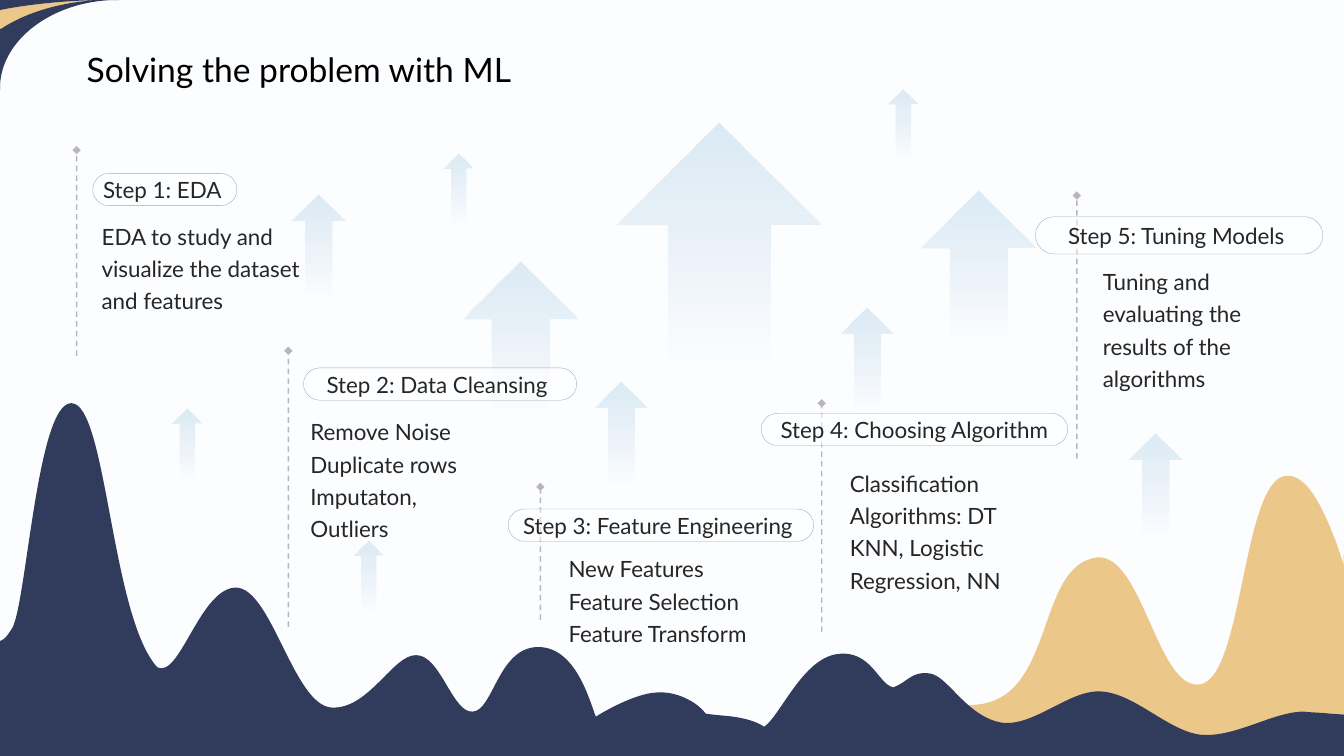
from lxml.etree import SubElement
from pptx import Presentation
from pptx.dml.color import RGBColor
from pptx.enum.dml import MSO_LINE
from pptx.enum.shapes import MSO_CONNECTOR, MSO_SHAPE
from pptx.enum.text import MSO_ANCHOR, MSO_AUTO_SIZE, PP_ALIGN
from pptx.oxml.ns import qn
from pptx.util import Inches, Pt

FONT = "Lato"
NAVY = RGBColor(0x31, 0x3C, 0x5D)
GOLD = RGBColor(0xEC, 0xC7, 0x8A)
WHITE = RGBColor(0xFF, 0xFF, 0xFF)
BLACK = RGBColor(0x00, 0x00, 0x00)
TEXT = RGBColor(0x26, 0x26, 0x26)
PAPER = RGBColor(0xFC, 0xFD, 0xFF)
PILL_LINE = RGBColor(0xA6, 0xA6, 0xA6)
MARKER = RGBColor(0x76, 0x71, 0x71)
ARROW_TIP = RGBColor(0x15, 0x7E, 0xB6)
ARROW_END = RGBColor(0x05, 0x4F, 0x98)

# Outlines: a start point, then line ends (x, y) or cubic curves (two controls and an end)
TOP_GOLD = [
    (0, 0.29), (0, 0.1), (0.05, 0.09), (0.32, 0.04, 0.63, 0.01, 0.96, 0), (1.03, 0),
    (0.98, 0), (0.59, 0.02, 0.25, 0.13, 0.02, 0.28)]
TOP_NAVY = [
    (0, 0.89), (0, 0.29), (0.02, 0.28), (0.25, 0.13, 0.59, 0.02, 0.98, 0), (1.03, 0), (0.96, 0),
    (0.63, 0.01, 0.32, 0.04, 0.05, 0.09), (0, 0.1), (0, 0), (1.18, 0), (1.12, 0),
    (0.5, 0.02, 0, 0.41, 0, 0.87)]
BOTTOM_GOLD = [
    (13.33, 6.84), (13.33, 7.27), (13.22, 7.29), (12.61, 7.4, 11.92, 7.47, 11.18, 7.49),
    (11.02, 7.5), (11.12, 7.49), (12, 7.45, 12.78, 7.21, 13.29, 6.87)]
BOTTOM_NAVY = [
    (13.33, 5.5), (13.33, 6.84), (13.29, 6.87), (12.78, 7.21, 12, 7.45, 11.12, 7.49),
    (11.02, 7.5), (11.18, 7.49), (11.92, 7.47, 12.61, 7.4, 13.22, 7.29), (13.33, 7.27),
    (13.33, 7.5), (10.67, 7.5), (10.8, 7.5), (12.21, 7.44, 13.33, 6.59, 13.33, 5.53)]
HILLS_WHITE = [
    (0.71, 3.59), (1.06, 3.6, 1.1, 5.91, 1.56, 6.48), (1.78, 6.61, 1.97, 5.63, 2.33, 5.61),
    (2.69, 5.59, 2.91, 6.9, 3.29, 6.92), (3.66, 6.93, 3.9, 6.33, 4.13, 6.34),
    (4.37, 6.35, 4.49, 6.98, 4.69, 6.96), (4.89, 6.95, 4.94, 6.28, 5.32, 6.26),
    (5.71, 6.23, 5.85, 6.85, 5.91, 7.01), (6.07, 6.91, 6.35, 6.75, 6.53, 6.75),
    (6.71, 6.74, 6.91, 6.85, 7, 6.98), (7.13, 7, 7.23, 7, 7.33, 7.03),
    (7.43, 7.05, 7.5, 7.07, 7.58, 7.12), (7.74, 7.01, 7.96, 6.39, 8.3, 6.33),
    (8.64, 6.28, 8.71, 6.66, 8.86, 6.7), (9, 6.64, 9.04, 6.52, 9.21, 6.54),
    (9.32, 6.55, 9.43, 6.72, 9.58, 6.87), (9.6, 6.89), (9.69, 6.88),
    (10.47, 6.81, 10.27, 5.37, 10.88, 5.28), (11.33, 5.23, 11.48, 6.73, 11.9, 6.66),
    (12.33, 6.59, 12.32, 4.45, 12.75, 4.39), (12.96, 4.36, 13.11, 4.71, 13.26, 5.14),
    (13.33, 5.37), (13.33, 7), (13.33, 7.44), (8.02, 7.44), (0, 7.44), (0, 6.19), (0.02, 6.18),
    (0.05, 6.16, 0.07, 6.14, 0.11, 6.07), (0.26, 5.88, 0.36, 3.58, 0.71, 3.59)]
HILLS_GOLD = [
    (12.75, 4.72), (12.96, 4.7, 13.11, 5.01, 13.26, 5.4), (13.33, 5.61), (13.33, 7.5),
    (8.02, 7.5), (8.06, 7.44), (8.13, 7.33, 8.21, 7.24, 8.27, 7.18),
    (8.49, 6.94, 8.91, 7.06, 9.69, 6.99), (10.47, 6.92, 10.27, 5.61, 10.88, 5.53),
    (11.33, 5.49, 11.48, 6.85, 11.9, 6.79), (12.33, 6.73, 12.32, 4.78, 12.75, 4.72)]
HILLS_NAVY = [
    (0.71, 4), (1.06, 4.01, 1.1, 6.11, 1.56, 6.62), (1.78, 6.74, 1.98, 5.85, 2.33, 5.83),
    (2.69, 5.81, 2.91, 7, 3.29, 7.02), (3.66, 7.04, 3.9, 6.49, 4.13, 6.5),
    (4.37, 6.5, 4.49, 7.08, 4.69, 7.06), (4.89, 7.05, 4.94, 6.44, 5.32, 6.42),
    (5.71, 6.4, 5.85, 6.96, 5.91, 7.11), (6.07, 7.01, 6.35, 6.87, 6.53, 6.87),
    (6.71, 6.86, 6.91, 6.96, 7, 7.08), (7.13, 7.1, 7.23, 7.1, 7.33, 7.12),
    (7.43, 7.14, 7.5, 7.16, 7.58, 7.21), (7.74, 7.1, 7.96, 6.54, 8.3, 6.49),
    (8.64, 6.44, 8.71, 6.79, 8.86, 6.82), (9, 6.77, 9.04, 6.66, 9.21, 6.68),
    (9.39, 6.69, 9.56, 7.07, 9.89, 7.16), (10.22, 7.25, 10.59, 6.84, 10.92, 6.86),
    (11.26, 6.88, 11.58, 7.25, 11.91, 7.29), (12.25, 7.32, 12.63, 7.06, 12.93, 7.06),
    (13.01, 7.07, 13.1, 7.07, 13.19, 7.08), (13.33, 7.09), (13.33, 7.5), (0, 7.5), (0, 6.36),
    (0.02, 6.35), (0.05, 6.34, 0.07, 6.31, 0.11, 6.25), (0.26, 6.08, 0.36, 3.99, 0.71, 4)]
CORNERS = [(TOP_GOLD, GOLD), (TOP_NAVY, NAVY), (BOTTOM_GOLD, GOLD), (BOTTOM_NAVY, NAVY)]
HILLS = [(HILLS_WHITE, WHITE, 30), (HILLS_GOLD, GOLD), (HILLS_NAVY, NAVY)]

# Arrow positions by size (length, width), before the quarter turn
ARROWS = {
    (2.46, 2.03): [(5.9, 1.43)],
    (1.53, 1.15): [(4.4, 2.78), (8.94, 2.08)],
    (1.04, 0.53): [(8.08, 3.31), (5.64, 4.04), (2.64, 2.19), (10.94, 4.56)],
    (0.71, 0.3): [(3.3, 5.57), (1.5, 4.26), (4.19, 1.73), (8.6, 1.09)]}

# Each step: heading, heading box, marker (x, bottom, top), body text, body box
STEPS = [
    ("Step 1: EDA ", (0.92, 1.72, 1.43, 0.32), (0.76, 3.53, 1.49),
     "EDA to study and visualize the dataset and features", (0.91, 2.11, 2.23, 1.39)),
    ("Step 2: Data Cleansing ", (3.01, 3.65, 2.71, 0.32), (2.86, 6.22, 3.48),
     "Remove Noise\nDuplicate rows\nImputaton, Outliers", (2.98, 4.05, 2.08, 1.39)),
    ("Step 3: Feature Engineering ", (5.04, 5.05, 3.03, 0.32), (5.36, 6.15, 4.83),
     "New Features\nFeature Selection\nFeature Transform", (5.54, 5.41, 2.52, 1.07)),
    ("Step 4: Choosing Algorithm", (7.55, 4.1, 3.04, 0.32), (8.15, 6.27, 4),
     "Classification Algorithms: DT\nKNN, Logistic Regression, NN", (8.33, 4.56, 2.08, 1.39)),
    ("Step 5: Tuning Models ", (10.27, 2.15, 2.85, 0.37), (10.68, 4.55, 1.94),
     "Tuning and evaluating the results of the algorithms", (10.84, 2.56, 2.08, 1.39))]


def set_opacity(element, *percents):
    for color, percent in zip(element.iter(qn("a:srgbClr")), percents):
        SubElement(color, qn("a:alpha")).set("val", str(percent * 1000))


class SlideBuilder:
    def __init__(self, presentation):
        self.slide = presentation.slides.add_slide(presentation.slide_layouts[5])
        self.shapes = self.slide.shapes
        self.slide.background.fill.solid()
        self.slide.background.fill.fore_color.rgb = PAPER

    def style(self, text_frame, size=16, color=TEXT, spacing=1.0, align=PP_ALIGN.LEFT):
        for paragraph in text_frame.paragraphs:
            paragraph.alignment, paragraph.line_spacing = align, spacing
            for run in paragraph.runs:
                run.font.name, run.font.size = FONT, Pt(size)
                run.font.color.rgb = color

    def paint(self, shape, color, opacity):
        shape.shadow.inherit = False
        shape.fill.solid()
        shape.fill.fore_color.rgb = color
        if opacity < 100:
            set_opacity(shape._element.spPr, opacity)

    def title(self, text, box):
        title = self.shapes.title
        title.left, title.top, title.width, title.height = map(Inches, box)
        title.text_frame.text = text
        title.text_frame.vertical_anchor = MSO_ANCHOR.TOP
        self.style(title.text_frame, 24, BLACK, 0.9)

    def outline(self, segments, color, opacity=100):
        ends = [tuple(map(Inches, segment[-2:])) for segment in segments]
        builder = self.shapes.build_freeform(*ends[0])
        builder.add_line_segments(ends[1:], close=True)
        shape = builder.convert_to_shape()
        # Bend the straight segments that have control points
        for line, segment in zip(list(shape._element.iter(qn("a:lnTo"))), segments[1:]):
            if len(segment) == 6:
                line.tag = qn("a:cubicBezTo")
                line.remove(line[0])
                for x, y in zip(segment[::2], segment[1::2]):
                    point = SubElement(line, qn("a:pt"))
                    point.set("x", str(Inches(x) - shape.left))
                    point.set("y", str(Inches(y) - shape.top))
        self.paint(shape, color, opacity)
        shape.line.fill.background()

    def arrow(self, position, size):
        shape = self.shapes.add_shape(MSO_SHAPE.LEFT_ARROW, *map(Inches, position + size))
        shape.rotation = 90
        shape.shadow.inherit = False
        shape.fill.gradient()
        shape.fill.gradient_angle = 0
        for stop, color in zip(shape.fill.gradient_stops, (ARROW_TIP, ARROW_END)):
            stop.color.rgb = color
        set_opacity(shape._element.spPr, 15, 0)
        shape.line.fill.background()

    def marker(self, x, bottom, top):
        ends = map(Inches, (x, bottom, x, top))
        connector = self.shapes.add_connector(MSO_CONNECTOR.STRAIGHT, *ends)
        connector.line.color.rgb = MARKER
        connector.line.width = Pt(1)
        connector.line.dash_style = MSO_LINE.DASH
        properties = connector._element.spPr
        set_opacity(properties, 50)
        SubElement(properties.find(qn("a:ln")), qn("a:tailEnd")).set("type", "diamond")
        SubElement(properties, qn("a:effectLst"))

    def pill(self, text, box):
        shape = self.shapes.add_shape(MSO_SHAPE.ROUNDED_RECTANGLE, *map(Inches, box))
        shape.adjustments[0] = 0.5
        self.paint(shape, WHITE, 50)
        shape.line.color.rgb = PILL_LINE
        shape.line.width = Pt(0.25)
        frame = shape.text_frame
        frame.text = text
        frame.word_wrap = False
        frame.vertical_anchor = MSO_ANCHOR.MIDDLE
        frame.margin_left = frame.margin_right = Inches(0.08)
        frame.margin_top = frame.margin_bottom = Inches(0.04)
        self.style(frame, align=PP_ALIGN.CENTER)

    def body(self, text, box):
        frame = self.shapes.add_textbox(*map(Inches, box)).text_frame
        frame.word_wrap = True
        frame.auto_size = MSO_AUTO_SIZE.SHAPE_TO_FIT_TEXT
        frame.text = text
        self.style(frame, spacing=1.2)


presentation = Presentation()
presentation.slide_width, presentation.slide_height = Inches(13.33), Inches(7.5)
builder = SlideBuilder(presentation)
# Title, corners, rising arrows and hills
builder.title("Solving the problem with ML", (0.76, 0.48, 10.45, 0.36))
for corner in CORNERS:
    builder.outline(*corner)
for size, positions in ARROWS.items():
    for position in positions:
        builder.arrow(position, size)
for hills in HILLS:
    builder.outline(*hills)
# Steps
for heading, heading_box, marker, text, body_box in STEPS:
    builder.marker(*marker)
    builder.pill(heading, heading_box)
    builder.body(text, body_box)
presentation.save("out.pptx")
